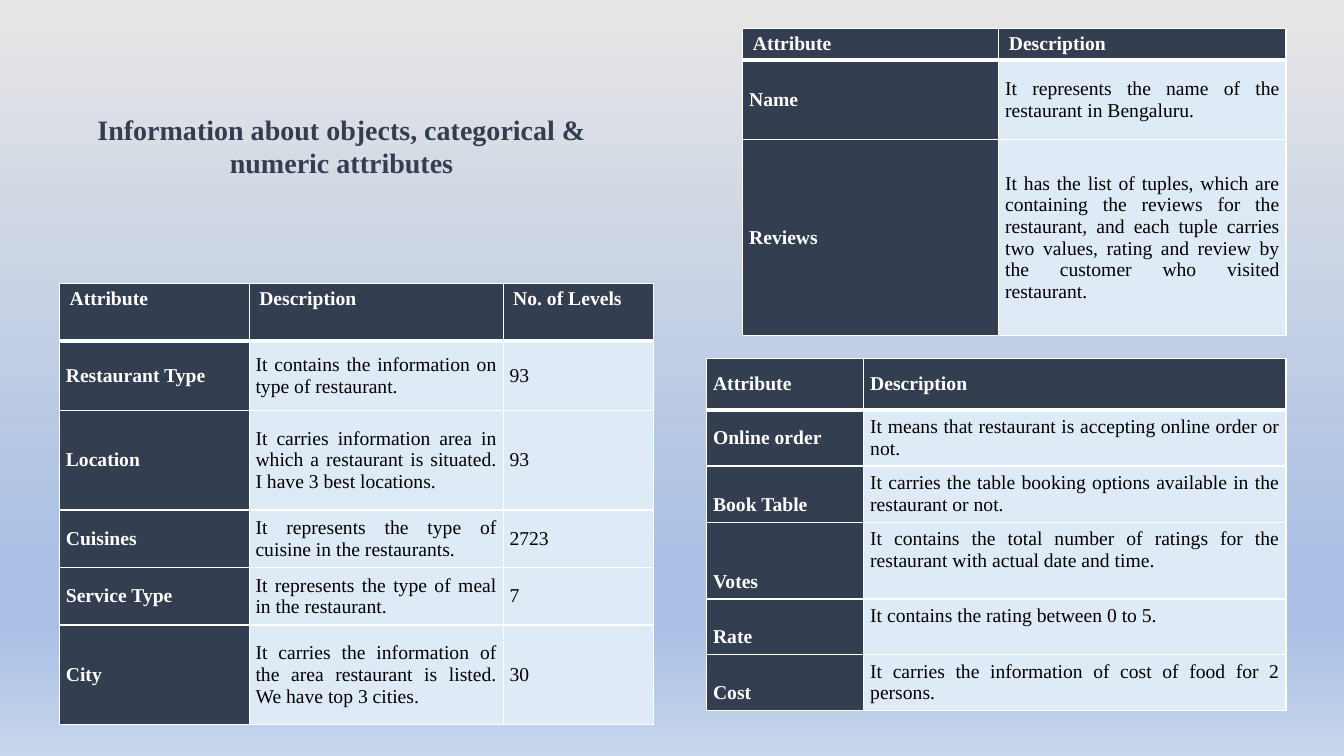
from lxml.etree import SubElement
from pptx import Presentation
from pptx.dml.color import RGBColor
from pptx.enum.text import MSO_ANCHOR, PP_ALIGN
from pptx.oxml.ns import qn
from pptx.util import Cm, Pt

NAVY = RGBColor(0x33, 0x3F, 0x50)
PALE_BLUE = RGBColor(0xDE, 0xEB, 0xF7)
WHITE = RGBColor(0xFF, 0xFF, 0xFF)
BLACK = RGBColor(0x00, 0x00, 0x00)
GREY = RGBColor(0xE7, 0xE6, 0xE6)
SKY = RGBColor(0xAB, 0xC0, 0xE4)
LIGHT_SKY = RGBColor(0xC7, 0xD5, 0xED)

TOP, MIDDLE, BOTTOM = MSO_ANCHOR.TOP, MSO_ANCHOR.MIDDLE, MSO_ANCHOR.BOTTOM


class AttributeSlide:
    """Holds the text style and the slide being filled."""

    font = "Times New Roman"
    table_size = 14
    title_size = 20
    tight_inset = 0.16
    thin, thick = 1, 3

    def __init__(self, slide):
        self.slide = slide

    def background(self, stops):
        fill = self.slide.background.fill
        fill.gradient()
        fill.gradient_angle = 270
        stop_list = self.slide.element.find(".//" + qn("a:gsLst"))
        for old_stop in list(stop_list):
            stop_list.remove(old_stop)
        for percent, color in stops:
            stop = SubElement(stop_list, qn("a:gs"), pos=str(percent * 1000))
            SubElement(stop, qn("a:srgbClr"), val=str(color))

    def add_text(self, frame, text, size, color, bold, align):
        paragraph = frame.paragraphs[0]
        paragraph.alignment = align
        run = paragraph.add_run()
        run.text = text
        run.font.name = self.font
        run.font.size = Pt(size)
        run.font.bold = bold
        run.font.color.rgb = color

    def title(self, text, left, top, width, height):
        box = self.slide.shapes.add_textbox(Cm(left), Cm(top), Cm(width), Cm(height))
        box.text_frame.word_wrap = True
        box.text_frame.vertical_anchor = MIDDLE
        self.add_text(box.text_frame, text, self.title_size, NAVY, True, PP_ALIGN.CENTER)

    def borders(self, cell, top, bottom):
        properties = cell._tc.get_or_add_tcPr()
        sides = {"L": self.thin, "R": self.thin, "T": top, "B": bottom}
        for side, width in sides.items():
            line = SubElement(properties, qn("a:ln" + side), w=str(Pt(width)))
            fill = SubElement(line, qn("a:solidFill"))
            SubElement(fill, qn("a:srgbClr"), val=str(WHITE))

    def cell(self, cell, text, row, column, anchor, tight):
        dark = row == 0 or column == 0
        self.borders(cell, self.thick if row == 1 else self.thin,
                     self.thick if row == 0 else self.thin)
        cell.fill.solid()
        cell.fill.fore_color.rgb = NAVY if dark else PALE_BLUE
        cell.vertical_anchor = anchor
        if tight:
            cell.margin_left = cell.margin_right = Cm(self.tight_inset)
            cell.margin_top = cell.margin_bottom = Cm(self.tight_inset)
        justified = row > 0 and column == 1
        self.add_text(cell.text_frame, text, self.table_size, WHITE if dark else BLACK,
                      dark, PP_ALIGN.JUSTIFY if justified else PP_ALIGN.LEFT)

    def table(self, left, top, widths, heights, rows, tight_header=False, stacked_from=None):
        """Rows from stacked_from on put the label low and the description high."""
        frame = self.slide.shapes.add_table(
            len(rows), len(widths), Cm(left), Cm(top), Cm(sum(widths)), Cm(sum(heights)))
        table = frame.table
        for column, width in zip(table.columns, widths):
            column.width = Cm(width)
        for r, (texts, height) in enumerate(zip(rows, heights)):
            table.rows[r].height = Cm(height)
            tight = r > 0 or tight_header
            for c, text in enumerate(texts):
                anchor = MIDDLE if tight else TOP
                if stacked_from is not None and r >= stacked_from:
                    anchor = BOTTOM if c == 0 else TOP
                self.cell(table.cell(r, c), text, r, c, anchor, tight)


def main():
    presentation = Presentation()
    presentation.slide_width, presentation.slide_height = Cm(33.87), Cm(19.05)
    page = AttributeSlide(presentation.slides.add_slide(presentation.slide_layouts[6]))
    page.background([(0, GREY), (74, SKY), (83, SKY), (100, LIGHT_SKY)])

    # Object attributes
    page.table(18.72, 0.71, [6.45, 7.24], [0.8, 2, 4.95], [
        ("Attribute", "Description"),
        ("Name", "It represents the name of the restaurant in Bengaluru."),
        ("Reviews", "It has the list of tuples, which are containing the reviews for the "
                    "restaurant, and each tuple carries two values, rating and review by "
                    "the customer who visited restaurant."),
    ])

    # Categorical attributes
    page.table(1.5, 7.14, [4.78, 6.4, 3.78], [1.45, 1.75, 2.51, 1.45, 1.45, 2.51], [
        ("Attribute", "Description", "No. of Levels"),
        ("Restaurant Type", "It contains the information on type of restaurant.", "93"),
        ("Location", "It carries information area in which a restaurant is situated. "
                     "I have 3 best locations.", "93"),
        ("Cuisines", "It represents the type of cuisine in the restaurants.", "2723"),
        ("Service Type", "It represents the type of meal in the restaurant.", "7"),
        ("City", "It carries the information of the area restaurant is listed. "
                 "We have top 3 cities.", "30"),
    ])

    # Numeric attributes
    page.table(17.81, 9.04, [3.96, 10.64], [1.29, 1.39, 1.39, 1.94, 1.39, 1.39], [
        ("Attribute", "Description"),
        ("Online order", "It means that restaurant is accepting online order or not."),
        ("Book Table", "It carries the table booking options available in the "
                       "restaurant or not."),
        ("Votes", "It contains the total number of ratings for the restaurant with "
                  "actual date and time."),
        ("Rate", "It contains the rating between 0 to 5."),
        ("Cost", "It carries the information of cost of food for 2 persons."),
    ], tight_header=True, stacked_from=2)

    # Title
    page.title("Information about objects, categorical & numeric attributes",
               1.5, 1.17, 14.22, 5)

    presentation.save("out.pptx")


if __name__ == "__main__":
    main()
